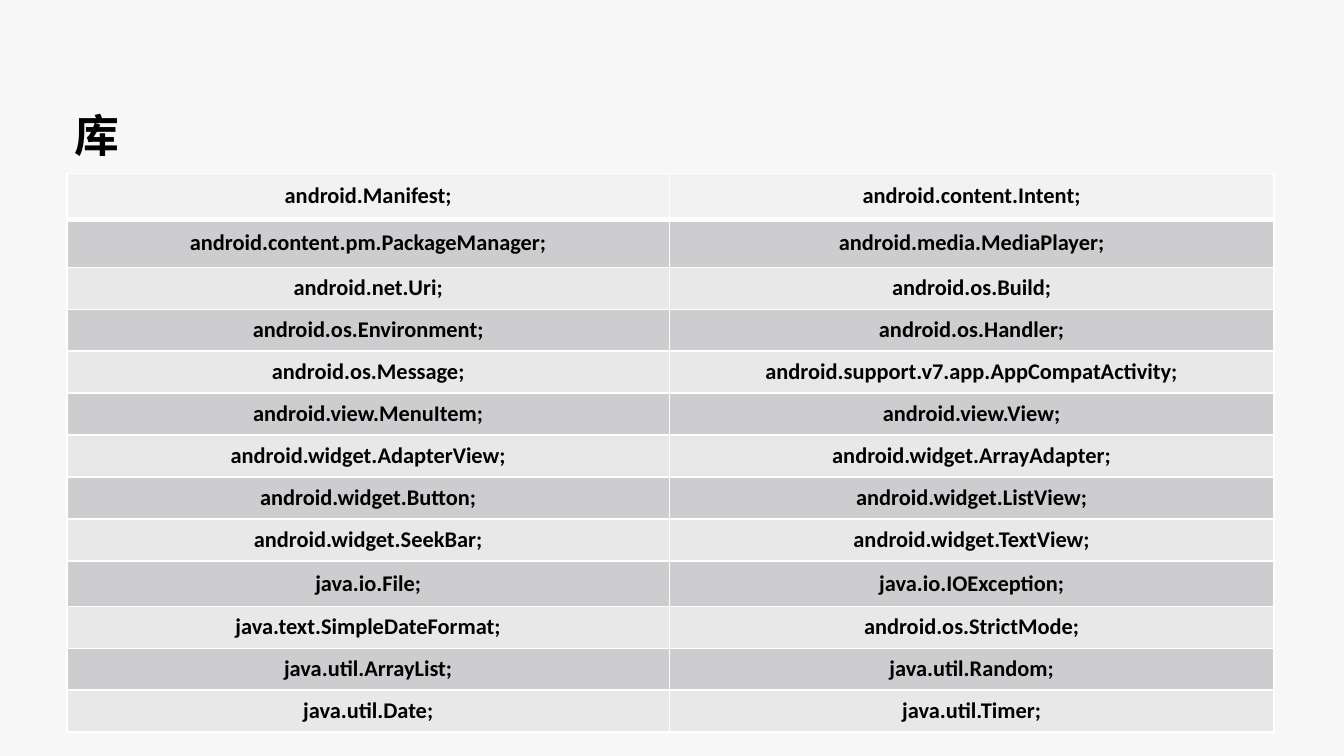
from lxml import etree
from pptx import Presentation
from pptx.dml.color import RGBColor
from pptx.enum.text import MSO_ANCHOR, PP_ALIGN
from pptx.oxml.ns import qn
from pptx.util import Inches, Pt

CENTER = PP_ALIGN.CENTER
MIDDLE = MSO_ANCHOR.MIDDLE
FONT = "Calibri"
COLORS = {"page": "F7F7F7", "text": "000000", "line": "FFFFFF",
          "header": "F2F2F2", "dark": "CDCDD0", "light": "E8E8E9"}
LIBRARIES = [
    ("android.Manifest;", "android.content.Intent;"),
    ("android.content.pm.PackageManager;", "android.media.MediaPlayer;"),
    ("android.net.Uri;", "android.os.Build;"),
    ("android.os.Environment;", "android.os.Handler;"),
    ("android.os.Message;", "android.support.v7.app.AppCompatActivity;"),
    ("android.view.MenuItem;", "android.view.View;"),
    ("android.widget.AdapterView;", "android.widget.ArrayAdapter;"),
    ("android.widget.Button;", "android.widget.ListView;"),
    ("android.widget.SeekBar;", "android.widget.TextView;"),
    ("java.io.File;", "java.io.IOException;"),
    ("java.text.SimpleDateFormat;", "android.os.StrictMode;"),
    ("java.util.ArrayList;", "java.util.Random;"),
    ("java.util.Date;", "java.util.Timer;"),
]
COL_WIDTHS = [4.48, 4.5]
TABLE_HEIGHT = 4.16
TALL_ROWS = {0: 0.34, 1: 0.36, 9: 0.34}
# The other rows share the remaining height equally.
ROW_HEIGHT = (TABLE_HEIGHT - sum(TALL_ROWS.values())) / (len(LIBRARIES) - len(TALL_ROWS))


def write(tf, text, size):
    """Put one bold, centred run into the first paragraph."""
    tf.paragraphs[0].alignment = CENTER
    r = tf.paragraphs[0].add_run()
    r.text = text
    r.font.name = FONT
    r.font.size = Pt(size)
    r.font.bold = True
    r.font.color.rgb = RGBColor.from_string(COLORS["text"])


def set_borders(cell, widths):
    """Draw cell borders; widths are points for left, right, top, bottom."""
    tcPr = cell._tc.get_or_add_tcPr()
    for i, (side, width) in enumerate(zip("LRTB", widths)):
        ln = etree.Element(qn(f"a:ln{side}"), w=str(Pt(width)))
        fill = etree.SubElement(ln, qn("a:solidFill"))
        etree.SubElement(fill, qn("a:srgbClr"), val=COLORS["line"])
        tcPr.insert(i, ln)


prs = Presentation()
prs.slide_width = Inches(10)
prs.slide_height = prs.slide_width * 9 // 16
s = prs.slides.add_slide(prs.slide_layouts[5])
s.background.fill.solid()
s.background.fill.fore_color.rgb = RGBColor.from_string(COLORS["page"])

title = s.shapes.title
title.left, title.top = Inches(0.16), Inches(0.78)
title.width, title.height = Inches(1.13), Inches(0.44)
tf = title.text_frame
tf.vertical_anchor = MIDDLE
tf.margin_left = tf.margin_right = tf.margin_top = tf.margin_bottom = Inches(0.02)
write(tf, "库", 24)

table = s.shapes.add_table(len(LIBRARIES), len(COL_WIDTHS), Inches(0.5), Inches(1.29),
                           Inches(sum(COL_WIDTHS)), Inches(TABLE_HEIGHT)).table
for column, width in zip(table.columns, COL_WIDTHS):
    column.width = Inches(width)

for i, names in enumerate(LIBRARIES):
    table.rows[i].height = Inches(TALL_ROWS.get(i, ROW_HEIGHT))
    shade = "header" if i == 0 else "dark" if i % 2 else "light"
    for j, name in enumerate(names):
        cell = table.cell(i, j)
        cell.vertical_anchor = MIDDLE
        cell.fill.solid()
        cell.fill.fore_color.rgb = RGBColor.from_string(COLORS[shade])
        set_borders(cell, (1, 1, 3 if i == 1 else 1, 3 if i == 0 else 1))
        write(cell.text_frame, name, 12)

prs.save("out.pptx")
